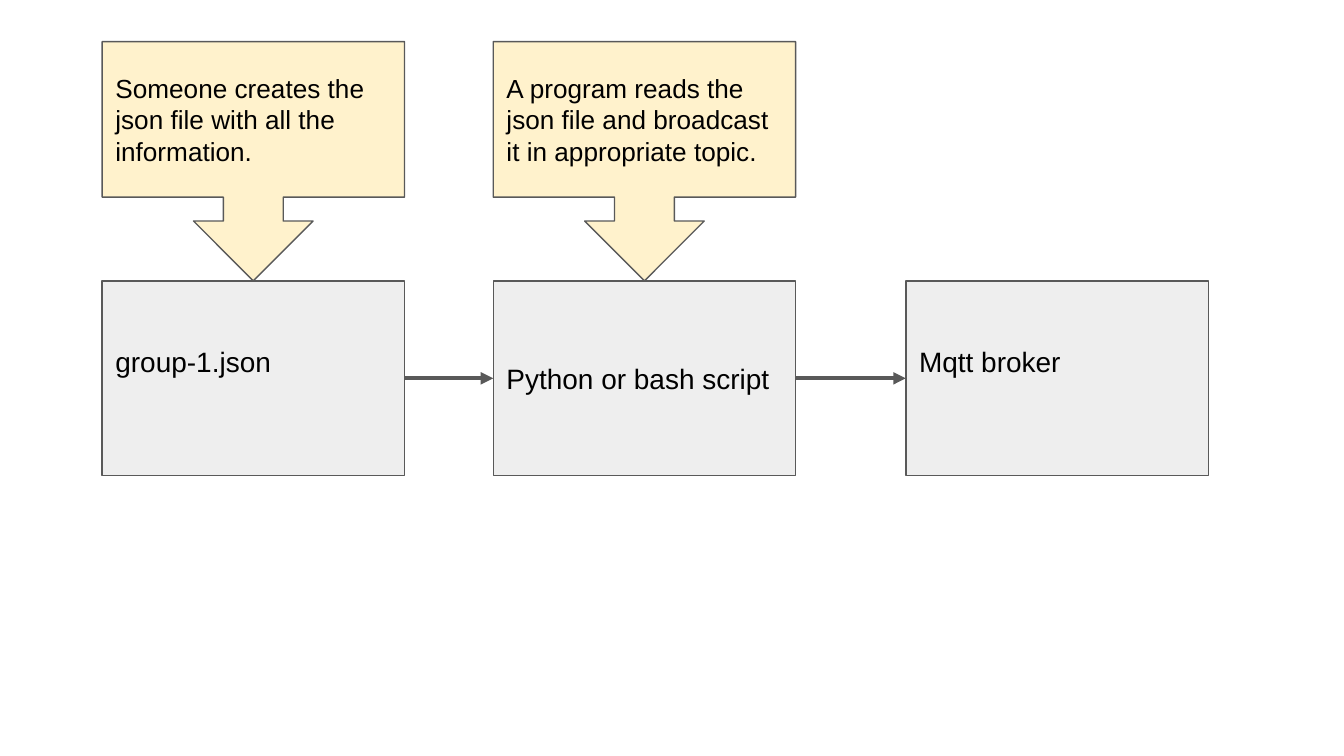
from pptx import Presentation
from pptx import util as u
from pptx.dml.color import RGBColor
from pptx.enum import shapes, text
from pptx.oxml import parse_xml
from pptx.oxml.ns import nsdecls, qn

COLORS = {"step": "EEEEEE", "note": "FFF2CC", "line": "595959", "text": "000000"}

# Grid: three columns, a row of notes resting on a row of steps
COLUMNS = [0.76, 3.67, 6.74]
WIDTH = 2.25
NOTE_TOP, STEP_TOP, STEP_HEIGHT = 0.31, 2.09, 1.45
INSET = 0.1
RAISED = 0.36  # bottom inset that lifts a label half a line

STEPS = [("group-1.json", RAISED), ("Python or bash script", INSET), ("Mqtt broker", RAISED)]
NOTES = [
    "Someone creates the json file with all the information.",
    "A program reads the json file and broadcast it in appropriate topic.",
]

# Widescreen page, 16 to 9
deck = Presentation()
deck.slide_width = u.Inches(10)
deck.slide_height = deck.slide_width * 9 // 16
page = deck.slides.add_slide(deck.slide_layouts[6])


def add_box(kind, left, top, height, fill, words, size, bottom=INSET):
    box = page.shapes.add_shape(
        kind, u.Inches(left), u.Inches(top), u.Inches(WIDTH), u.Inches(height))
    box.shadow.inherit = False
    box.fill.solid()
    box.fill.fore_color.rgb = RGBColor.from_string(COLORS[fill])
    box.line.color.rgb = RGBColor.from_string(COLORS["line"])
    box.line.width = u.Pt(0.75)
    frame = box.text_frame
    frame.word_wrap = True
    frame.vertical_anchor = text.MSO_ANCHOR.MIDDLE
    frame.margin_left = frame.margin_right = frame.margin_top = u.Inches(INSET)
    frame.margin_bottom = u.Inches(bottom)
    para = frame.paragraphs[0]
    para.alignment = text.PP_ALIGN.LEFT
    span = para.add_run()
    span.text = words
    span.font.name = "Arial"
    span.font.size = u.Pt(size)
    span.font.color.rgb = RGBColor.from_string(COLORS["text"])
    return box


# Steps
steps = [
    add_box(shapes.MSO_SHAPE.RECTANGLE, left, STEP_TOP, STEP_HEIGHT, "step", words, 15, bottom)
    for left, (words, bottom) in zip(COLUMNS, STEPS)
]

# Notes pointing down at the first two steps
for left, words in zip(COLUMNS, NOTES):
    note = add_box(shapes.MSO_SHAPE.DOWN_ARROW_CALLOUT, left, NOTE_TOP,
                   STEP_TOP - NOTE_TOP, "note", words, 14)
    for index, share in enumerate([0.25, 0.25, 0.25, 0.65]):
        note.adjustments[index] = share

# Arrows from each step to the next
for source, target in zip(steps, steps[1:]):
    arrow = page.shapes.add_connector(shapes.MSO_CONNECTOR.STRAIGHT, 0, 0, 0, 0)
    arrow.begin_connect(source, 3)
    arrow.end_connect(target, 1)
    arrow.line.color.rgb = RGBColor.from_string(COLORS["line"])
    arrow.line.width = u.Pt(2.25)
    properties = arrow._element.spPr
    properties.find(qn("a:ln")).append(parse_xml(f'<a:tailEnd {nsdecls("a")} type="triangle"/>'))
    properties.append(parse_xml(f'<a:effectLst {nsdecls("a")}/>'))

deck.save("out.pptx")
